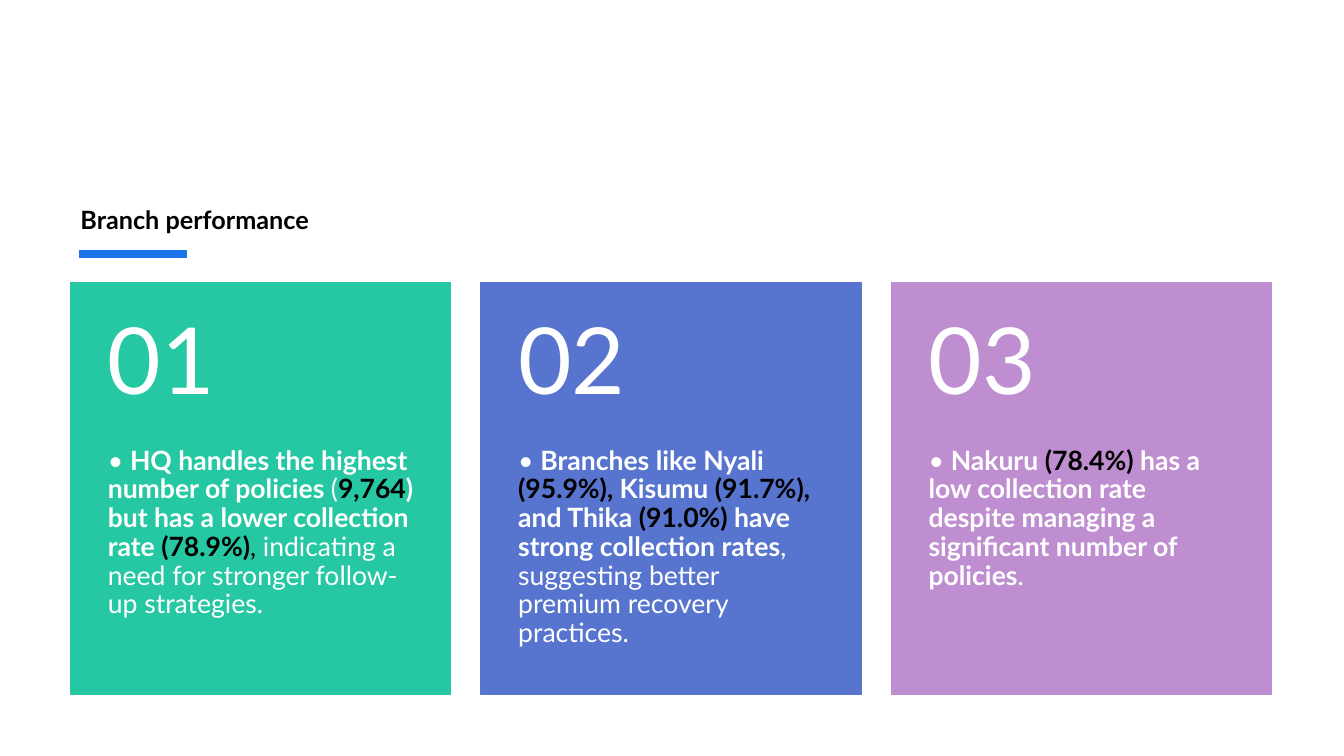
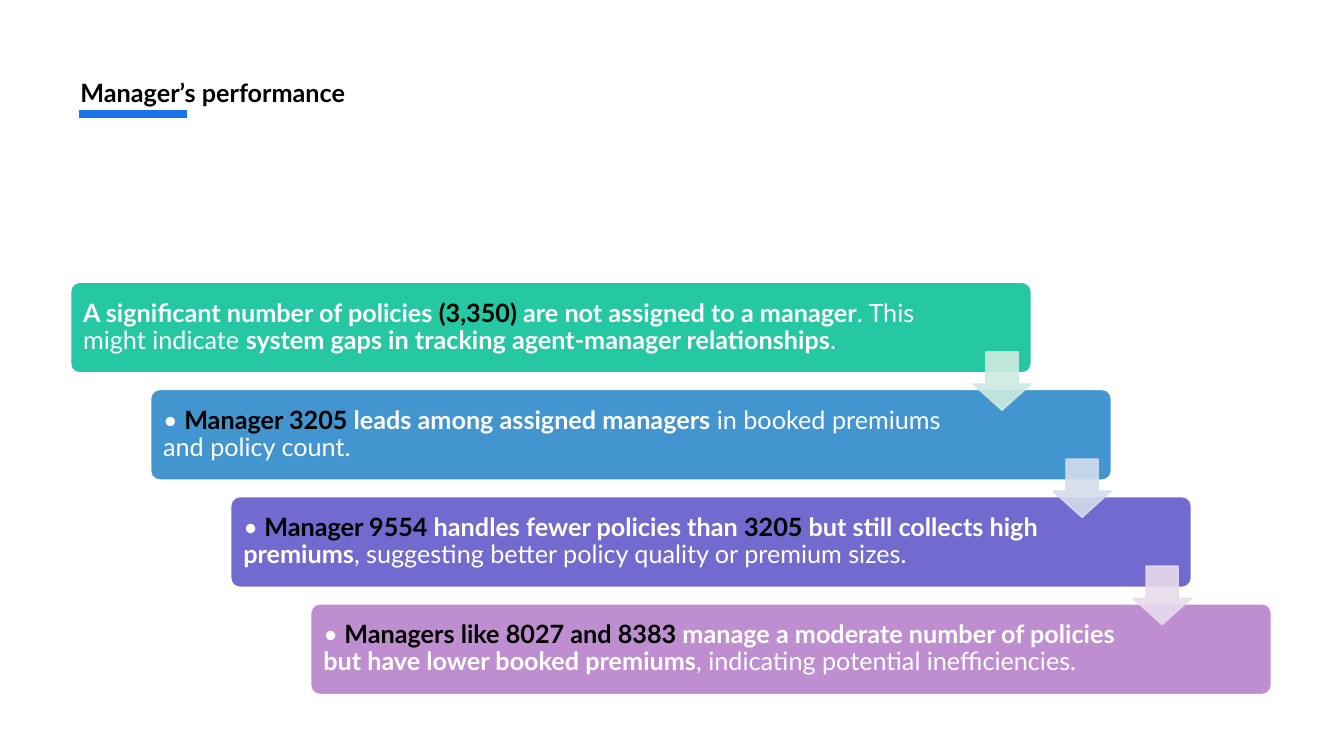
"""Build two performance slides: branch cards and a manager staircase."""
from dataclasses import dataclass

from lxml import etree
from pptx import Presentation
from pptx.dml.color import RGBColor
from pptx.enum.shapes import MSO_CONNECTOR, MSO_SHAPE
from pptx.enum.text import MSO_ANCHOR
from pptx.oxml.ns import qn
from pptx.util import Inches, Pt

RECTANGLE = MSO_SHAPE.RECTANGLE
ROUNDED = MSO_SHAPE.ROUNDED_RECTANGLE
DOWN_ARROW = MSO_SHAPE.DOWN_ARROW
STRAIGHT = MSO_CONNECTOR.STRAIGHT
TOP, MIDDLE = MSO_ANCHOR.TOP, MSO_ANCHOR.MIDDLE


@dataclass(frozen=True)
class Theme:
    """Colours, font and type sizes of the deck."""
    font: str = "Lato"
    white: str = "FFFFFF"
    black: str = "000000"
    accent: str = "1973EB"
    cards: tuple = ("25C8A2", "5775CF", "BF8ED1")
    steps: tuple = ("25C8A2", "4395D0", "726ACF", "BF8ED1")
    arrows: tuple = ("CDEBE0", "D4DCEC", "E8DBEE")
    title_size: float = 18
    card_size: float = 19
    step_size: float = 18
    number_size: float = 66


THEME = Theme()
PLAIN = (THEME.white, False)
STRONG = (THEME.white, True)
FIGURE = (THEME.black, True)
DARK = (THEME.black, False)

PAGE_WIDTH, PAGE_HEIGHT = 13.33, 7.5
LEFT, TOP_EDGE, WIDTH, HEIGHT = 0.7, 2.8, 11.91, 4.09
GUTTER = 0.3
NUMBER_SHARE = 0.4
CARD_INSET = 0.37
STEP_WIDTH, STEP_HEIGHT = 0.8 * WIDTH, 0.22 * HEIGHT
STEP_INSET = 0.1
ARROW_SIZE = 0.58
ARROW_DROP = 0.69

BRANCHES = [
    [("• ", PLAIN), ("HQ handles the highest number of policies ", STRONG),
     ("(", PLAIN), ("9,764", FIGURE),
     (") but has a lower collection rate ", STRONG), ("(78.9%)", FIGURE),
     (", ", DARK),
     ("indicating a need for stronger follow-up strategies.", PLAIN)],
    [("• ", PLAIN), ("Branches like Nyali ", STRONG), ("(95.9%), ", FIGURE),
     ("Kisumu ", STRONG), ("(91.7%), ", FIGURE), ("and Thika ", STRONG),
     ("(91.0%) ", FIGURE), ("have strong collection rates", STRONG),
     (", suggesting better premium recovery practices.", PLAIN)],
    [("• ", PLAIN), ("Nakuru ", STRONG), ("(78.4%) ", FIGURE),
     ("has a low collection rate despite managing a significant number "
      "of policies", STRONG), (".", PLAIN)],
]

MANAGERS = [
    [("A significant number of policies ", STRONG), ("(3,350) ", FIGURE),
     ("are not assigned to a manager", STRONG),
     (". This might indicate ", PLAIN),
     ("system gaps in tracking agent-manager relationships", STRONG),
     (".", PLAIN)],
    [("• ", PLAIN), ("Manager 3205 ", FIGURE),
     ("leads among assigned managers", STRONG),
     (" in booked premiums and policy count.", PLAIN)],
    [("• ", PLAIN), ("Manager 9554 ", FIGURE),
     ("handles fewer policies than ", STRONG), ("3205 ", FIGURE),
     ("but still collects high premiums", STRONG),
     (", suggesting better policy quality or premium sizes.", PLAIN)],
    [("• ", PLAIN), ("Managers like 8027 and 8383 ", FIGURE),
     ("manage a moderate number of policies but have lower booked premiums",
      STRONG), (", indicating potential inefficiencies.", PLAIN)],
]


def inches(*lengths):
    """Convert lengths in inches to slide units."""
    return [Inches(length) for length in lengths]


def colour(code):
    """Turn a hex code into a colour."""
    return RGBColor.from_string(code)


def write(box, spans, *, size, insets=(0.1, 0.05, 0.1, 0.05), anchor=TOP,
          spacing=0.9, wrap=True):
    """Fill a box with one paragraph of (text, style) spans."""
    frame = box.text_frame
    frame.word_wrap = wrap
    frame.vertical_anchor = anchor
    (frame.margin_left, frame.margin_top,
     frame.margin_right, frame.margin_bottom) = inches(*insets)
    para = frame.paragraphs[0]
    para.line_spacing = spacing
    para.alignment = 1
    for text, (code, bold) in spans:
        span = para.add_run()
        span.text = text
        span.font.name = THEME.font
        span.font.size = Pt(size)
        span.font.bold = bold
        span.font.color.rgb = colour(code)


def add_box(page, *area):
    """Add an empty text box."""
    return page.shapes.add_textbox(*inches(*area))


def add_block(page, kind, area, fill, *, line=None, adjust=(), opacity=None):
    """Add a preset shape with a solid fill and a thin outline."""
    block = page.shapes.add_shape(kind, *inches(*area))
    block.shadow.inherit = False
    block.fill.solid()
    block.fill.fore_color.rgb = colour(fill)
    block.line.color.rgb = colour(line or fill)
    block.line.width = Pt(1)
    for index, value in enumerate(adjust):
        block.adjustments[index] = value
    if opacity is not None:
        for paint in block.element.spPr.iter(qn("a:srgbClr")):
            etree.SubElement(paint, qn("a:alpha"), val=str(opacity * 1000))
    return block


def add_title(page, text, top, rule_top):
    """Add the slide title and the accent rule below it."""
    rule = page.shapes.add_connector(
        STRAIGHT, *inches(0.78, rule_top, 1.85, rule_top))
    rule.line.color.rgb = colour(THEME.accent)
    rule.line.width = Pt(6)
    etree.SubElement(rule.element.spPr, qn("a:effectLst"))
    write(add_box(page, LEFT, top, 2.9, 0.4), [(text, FIGURE)],
          size=THEME.title_size, spacing=1, wrap=False)


def add_cards(page, cards):
    """Lay out numbered cards in equal columns."""
    width = (WIDTH - GUTTER * (len(cards) - 1)) / len(cards)
    number_height = NUMBER_SHARE * HEIGHT
    for index, (spans, fill) in enumerate(zip(cards, THEME.cards)):
        left = LEFT + index * (width + GUTTER)
        add_block(page, RECTANGLE, (left, TOP_EDGE, width, HEIGHT), fill)
        write(add_box(page, left, TOP_EDGE, width, number_height),
              [(f"{index + 1:02}", PLAIN)], size=THEME.number_size,
              insets=(CARD_INSET, 0.18, CARD_INSET, 0.18), anchor=MIDDLE)
        write(add_box(page, left, TOP_EDGE + number_height, width,
                      HEIGHT - number_height),
              spans, size=THEME.card_size,
              insets=(CARD_INSET, 0, CARD_INSET, 0.36))


def add_staircase(page, steps):
    """Lay out steps descending to the right, joined by arrows."""
    shift = (WIDTH - STEP_WIDTH) / (len(steps) - 1)
    drop = (HEIGHT - STEP_HEIGHT) / (len(steps) - 1)
    corners = [(LEFT + index * shift, TOP_EDGE + index * drop)
               for index in range(len(steps))]
    for index, (spans, fill, corner) in enumerate(
            zip(steps, THEME.steps, corners)):
        step = add_block(page, ROUNDED, (*corner, STEP_WIDTH, STEP_HEIGHT),
                         fill, line=THEME.white, adjust=[0.1])
        right_inset = 1.09 if index == 0 else 1.48
        write(step, spans, size=THEME.step_size, anchor=MIDDLE,
              insets=(STEP_INSET, 0.07, right_inset, 0.07))
    for (left, top), fill in zip(corners, THEME.arrows):
        add_block(page, DOWN_ARROW,
                  (left + STEP_WIDTH - ARROW_SIZE, top + ARROW_DROP,
                   ARROW_SIZE, ARROW_SIZE),
                  fill, adjust=[0.55, 0.45], opacity=90)


def main():
    """Build and save the deck."""
    deck = Presentation()
    deck.slide_width, deck.slide_height = inches(PAGE_WIDTH, PAGE_HEIGHT)
    blank = deck.slide_layouts[6]

    branch_page = deck.slides.add_slide(blank)
    add_title(branch_page, "Branch performance", 1.98, 2.52)
    add_cards(branch_page, BRANCHES)

    manager_page = deck.slides.add_slide(blank)
    add_title(manager_page, "Manager’s performance", 0.72, 1.13)
    add_staircase(manager_page, MANAGERS)

    deck.save("out.pptx")


if __name__ == "__main__":
    main()
